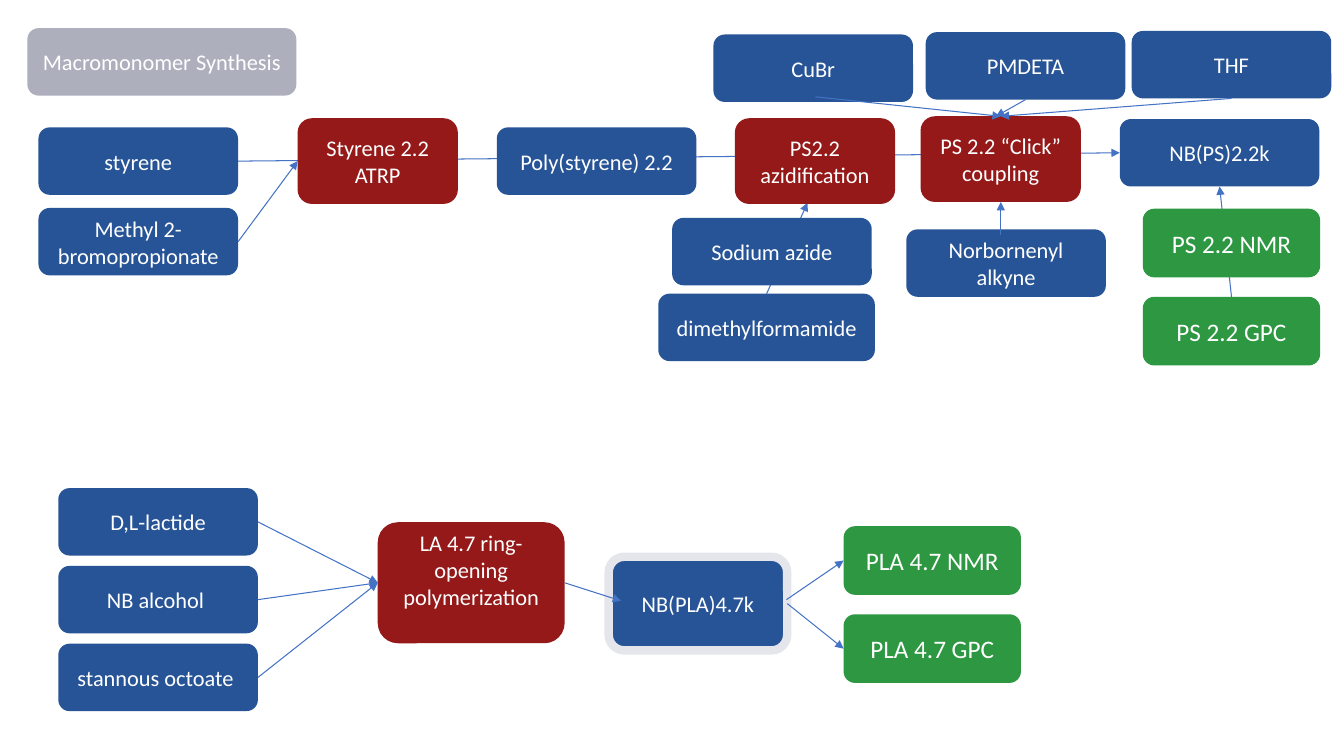
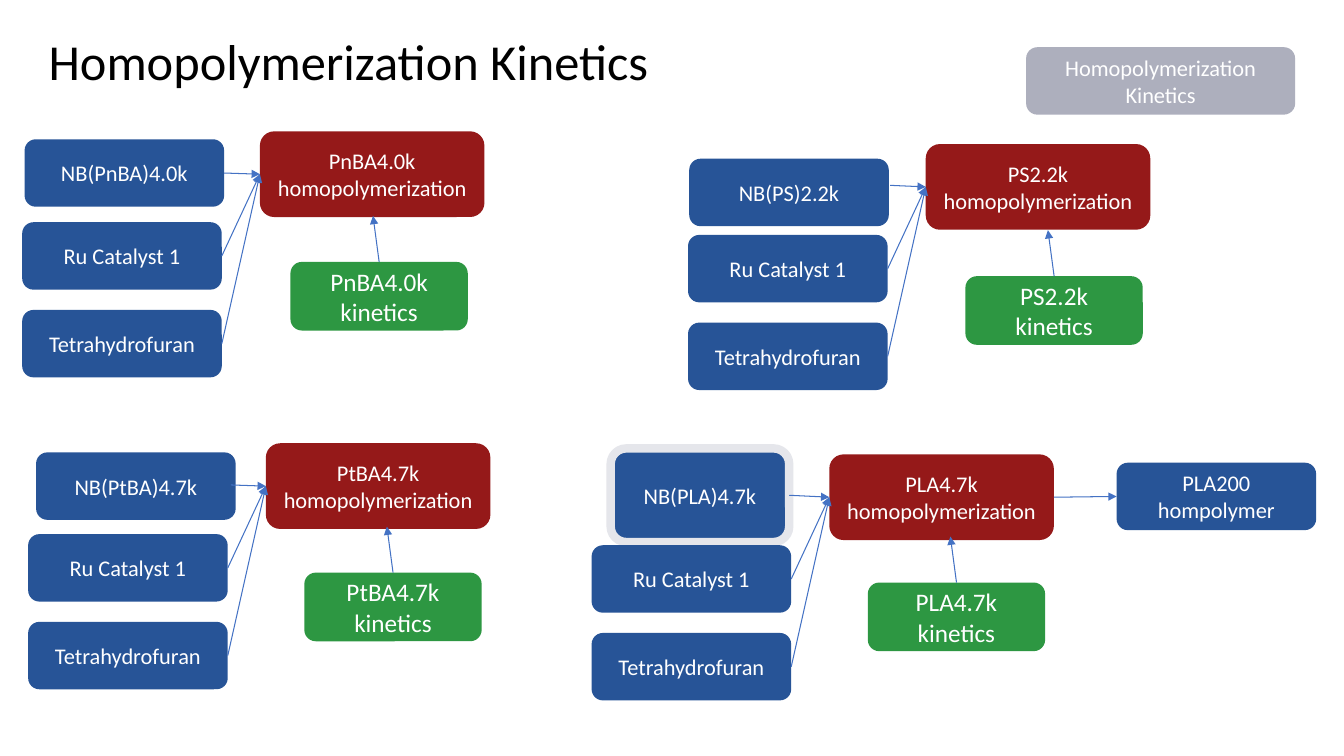
"""Build two flow charts of macromonomer synthesis and homopolymerization kinetics."""
from lxml import etree
from pptx import Presentation
from pptx import util as u
from pptx.dml import color
from pptx.enum import shapes, text
from pptx.oxml import ns

TOP, LEFT, BOTTOM, RIGHT = range(4)


class FlowChart:
    COLOURS = {
        "material": "275497",
        "reaction": "951919",
        "data": "2D9742",
        "heading": "ADAFBD",
        "product": "275497",
        "halo": "E5E6EB",
        "arrow": "4472C4",
        "light": "FFFFFF",
        "dark": "000000",
    }
    SIZES = {
        "material": (5.03, 1.7),
        "reaction": (4.04, 2.16),
        "data": (4.47, 1.73),
        "heading": (6.78, 1.7),
        "product": (4.5, 2.36),
    }
    FONT = "Calibri"

    def __init__(self):
        self.presentation = Presentation()
        self.presentation.slide_width = u.Cm(33.87)
        self.presentation.slide_height = u.Cm(19.05)
        self.slide = None

    def colour(self, name):
        return color.RGBColor.from_string(self.COLOURS[name])

    def style_text(self, paragraph, size, colour, alignment):
        paragraph.alignment = alignment
        paragraph.font.name = self.FONT
        paragraph.font.size = u.Pt(size)
        paragraph.font.color.rgb = self.colour(colour)

    def add_slide(self, title=None):
        layout = self.presentation.slide_layouts[5 if title else 6]
        self.slide = self.presentation.slides.add_slide(layout)
        if title:
            self.title(title)

    def title(self, words):
        shape = self.slide.shapes.title
        shape.left, shape.top = u.Cm(0.97), u.Cm(0.74)
        shape.width, shape.height = u.Cm(29.21), u.Cm(1.7)
        frame = shape.text_frame
        frame.text = words
        frame.vertical_anchor = text.MSO_ANCHOR.BOTTOM
        frame.auto_size = text.MSO_AUTO_SIZE.NONE
        paragraph = frame.paragraphs[0]
        paragraph.line_spacing = 0.9
        self.style_text(paragraph, 36, "dark", text.PP_ALIGN.LEFT)

    def box(self, kind, words, left, top, width=None, height=None):
        usual_width, usual_height = self.SIZES[kind]
        shape = self.slide.shapes.add_shape(
            shapes.MSO_SHAPE.ROUNDED_RECTANGLE, u.Cm(left), u.Cm(top),
            u.Cm(width or usual_width), u.Cm(height or usual_height))
        shape.shadow.inherit = False
        shape.fill.solid()
        shape.fill.fore_color.rgb = self.colour(kind)
        if kind == "product":
            shape.line.color.rgb = self.colour("halo")
            shape.line.width = u.Pt(6)
        else:
            shape.line.fill.background()
        frame = shape.text_frame
        frame.word_wrap = True
        frame.vertical_anchor = text.MSO_ANCHOR.MIDDLE
        frame.text = words
        size = 18 if kind == "data" else 16
        self.style_text(frame.paragraphs[0], size, "light", text.PP_ALIGN.CENTER)
        return shape

    def arrow(self, start, end, behind=False):
        """Draw an arrow; each end is a (shape, side) pair or an (x, y) point in cm."""
        ends = [None if hasattr(place[0], "shape_id") else place for place in (start, end)]
        points = [u.Cm(value) for place in ends for value in place or (0, 0)]
        connector = self.slide.shapes.add_connector(shapes.MSO_CONNECTOR.STRAIGHT, *points)
        if ends[0] is None:
            connector.begin_connect(*start)
        if ends[1] is None:
            connector.end_connect(*end)
        connector.line.color.rgb = self.colour("arrow")
        connector.line.width = u.Pt(0.75)
        properties = connector.element.spPr
        etree.SubElement(properties.find(ns.qn("a:ln")), ns.qn("a:tailEnd"), type="triangle")
        etree.SubElement(properties, ns.qn("a:effectLst"))
        if behind:
            connector.element.getparent().insert(2, connector.element)


def draw_polystyrene(chart):
    chart.box("heading", "Macromonomer Synthesis", 0.69, 0.71)
    styrene = chart.box("material", "styrene", 0.97, 3.21)
    initiator = chart.box("material", "Methyl 2-bromopropionate", 0.97, 5.24)
    atrp = chart.box("reaction", "Styrene 2.2 ATRP", 7.5, 2.98)
    chart.box("material", "Poly(styrene) 2.2", 12.52, 3.21)
    chart.box("reaction", "PS2.2 azidification", 18.52, 2.98)
    click = chart.box("reaction", "PS 2.2 “Click” coupling", 23.2, 2.93)
    chart.box("material", "Norbornenyl alkyne", 22.84, 5.78)
    macromonomer = chart.box("material", "NB(PS)2.2k", 28.22, 3)
    chart.box("data", "PS 2.2 NMR", 28.8, 5.26)
    gpc = chart.box("data", "PS 2.2 GPC", 28.8, 7.48)
    chart.box("material", "Sodium azide", 16.94, 5.49)
    solvent = chart.box("material", "dimethylformamide", 16.59, 7.4, width=5.46)
    chart.box("material", "CuBr", 17.98, 0.87)
    ligand = chart.box("material", "PMDETA", 23.33, 0.81)
    thf = chart.box("material", "THF", 28.52, 0.78)

    chart.arrow((styrene, RIGHT), (macromonomer, LEFT), behind=True)
    chart.arrow((gpc, TOP), (macromonomer, BOTTOM), behind=True)
    chart.arrow((solvent, TOP), (20.35, 5.11), behind=True)
    chart.arrow((initiator, RIGHT), (atrp, LEFT))
    chart.arrow((25.22, 5.92), (click, BOTTOM))
    chart.arrow((20.55, 2.44), (click, TOP))
    chart.arrow((ligand, BOTTOM), (25.1, 2.93))
    chart.arrow((thf, BOTTOM), (click, TOP))


def draw_polylactide(chart):
    product = chart.box("product", "NB(PLA)4.7k", 15.34, 14.03)
    reaction = chart.box("reaction", "LA 4.7 ring- opening polymerization",
                         9.52, 13.16, width=4.71, height=3.05)
    reaction.text_frame.margin_bottom = u.Cm(0.8)
    for row, words in enumerate(("D,L-lactide", "NB alcohol ", "stannous octoate ")):
        reagent = chart.box("material", words, 1.47, 12.3 + 1.96 * row)
        chart.arrow((reagent, RIGHT), (reaction, LEFT))
    chart.arrow((reaction, RIGHT), (15.65, 15.14))
    nmr = chart.box("data", "PLA 4.7 NMR", 21.26, 13.26)
    gpc = chart.box("data", "PLA 4.7 GPC", 21.26, 15.48)
    chart.arrow((19.82, 15.11), (nmr, LEFT))
    chart.arrow((product, RIGHT), (gpc, LEFT))


def draw_kinetics(chart, polymer, kind, monomer, monomer_at, catalyst_at, kinetics_at, start=None):
    """Draw one homopolymerization with its reagents and data, and return the reaction."""
    left, top = catalyst_at
    macromonomer = chart.box(kind, monomer, *monomer_at)
    catalyst = chart.box("material", "Ru Catalyst 1", left, top)
    solvent = chart.box("material", "Tetrahydrofuran", left, top + 2.21)
    reaction = chart.box("reaction", f"{polymer} homopolymerization",
                         left + 5.99, top - 2.29, width=5.66)
    kinetics = chart.box("data", f"{polymer} kinetics", *kinetics_at)
    for source in (start or (macromonomer, RIGHT), (catalyst, RIGHT), (solvent, RIGHT)):
        chart.arrow(source, (reaction, LEFT))
    chart.arrow((kinetics, TOP), (kinetics_at[0] + 2.08, kinetics_at[1] - 1.16))
    return reaction


def main():
    chart = FlowChart()
    chart.add_slide()
    draw_polystyrene(chart)
    draw_polylactide(chart)

    chart.add_slide("Homopolymerization Kinetics")
    chart.box("heading", "Homopolymerization Kinetics", 25.86, 1.19)
    draw_kinetics(chart, "PnBA4.0k", "material", "NB(PnBA)4.0k",
                  (0.62, 3.51), (0.56, 5.6), (7.32, 6.6))
    draw_kinetics(chart, "PS2.2k", "material", "NB(PS)2.2k",
                  (17.37, 4), (17.34, 5.92), (24.33, 6.96), start=(22.43, 4.67))
    draw_kinetics(chart, "PtBA4.7k", "material", "NB(PtBA)4.7k",
                  (0.91, 11.4), (0.71, 13.46), (7.67, 14.43), start=(5.82, 12.22))
    reaction = draw_kinetics(chart, "PLA4.7k", "product", "NB(PLA)4.7k",
                             (15.39, 11.3), (14.91, 13.74), (21.87, 14.68))
    homopolymer = chart.box("material", "PLA200 hompolymer", 28.14, 11.66)
    chart.arrow((reaction, RIGHT), (homopolymer, LEFT))
    chart.presentation.save("out.pptx")


if __name__ == "__main__":
    main()
